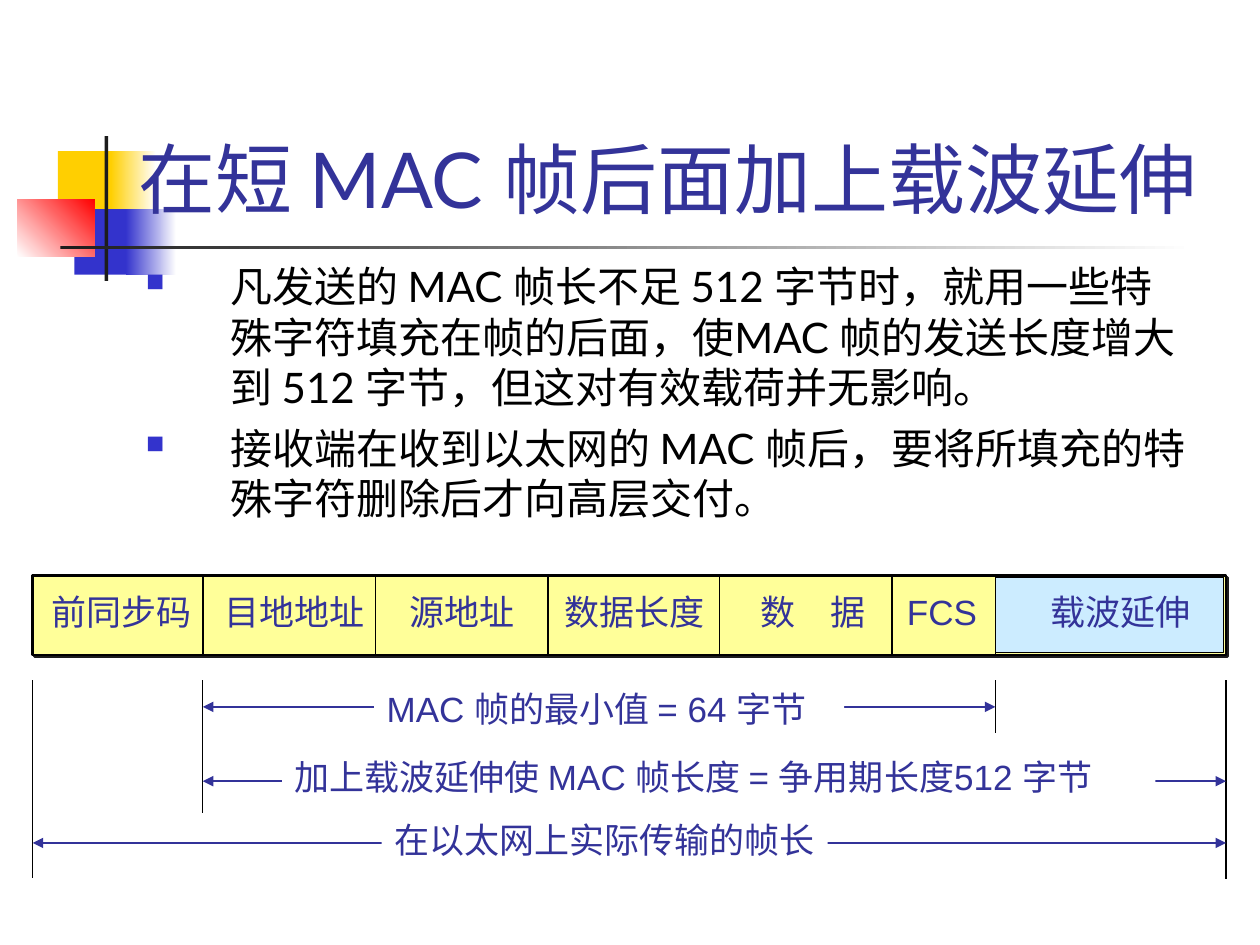
from lxml import etree
from pptx import Presentation
from pptx.dml.color import RGBColor
from pptx.enum.shapes import MSO_CONNECTOR, MSO_SHAPE
from pptx.enum.text import MSO_ANCHOR, MSO_AUTO_SIZE
from pptx.oxml import parse_xml
from pptx.oxml.ns import nsdecls, qn
from pptx.util import Inches, Pt

RECTANGLE = MSO_SHAPE.RECTANGLE
STRAIGHT = MSO_CONNECTOR.STRAIGHT
BOTTOM = MSO_ANCHOR.BOTTOM
FIT_SHAPE = MSO_AUTO_SIZE.SHAPE_TO_FIT_TEXT
COLORS = {
    "yellow": "FFCF01", "blue": "3333CC", "red": "FF0000", "white": "FFFFFF",
    "dark": "1C1C1C", "black": "000000", "indigo": "333399",
    "field": "FFFF99", "extension": "CCECFF",
}
RGB = {name: RGBColor.from_string(value) for name, value in COLORS.items()}

presentation = Presentation()
presentation.slide_width = Inches(10)
presentation.slide_height = Inches(7.5)
slide = presentation.slides.add_slide(presentation.slide_layouts[6])


def add_rectangle(left, top, width, height, fill, end=None, angle=0, line_width=None):
    shape = slide.shapes.add_shape(
        RECTANGLE, Inches(left), Inches(top), Inches(width), Inches(height))
    shape.shadow.inherit = False
    if end:
        shape.fill.gradient()
        shape.fill.gradient_angle = angle
        for stop, color in zip(shape.fill.gradient_stops, (fill, end)):
            stop.color.rgb = RGB[color]
    else:
        shape.fill.solid()
        shape.fill.fore_color.rgb = RGB[fill]
    if line_width:
        shape.line.color.rgb = RGB["black"]
        shape.line.width = Pt(line_width)
    else:
        shape.line.fill.background()
    return shape


def add_line(x1, y1, x2, y2, color="black", width=1.0, arrows=False):
    line = slide.shapes.add_connector(
        STRAIGHT, Inches(x1), Inches(y1), Inches(x2), Inches(y2))
    line.line.color.rgb = RGB[color]
    line.line.width = Pt(width)
    if arrows:
        outline = line.line._get_or_add_ln()
        for end in ("a:headEnd", "a:tailEnd"):
            etree.SubElement(outline, qn(end), type="triangle")
    etree.SubElement(line._element.spPr, qn("a:effectLst"))


# Corner decoration and title rule
for block in (
    (0.46, 1.2, 0.48, 0.52, "yellow"),
    (0.88, 1.2, 0.36, 0.52, "yellow", "white"),
    (0.59, 1.66, 0.46, 0.52, "blue"),
    (1, 1.66, 0.4, 0.52, "blue", "white"),
    (0.14, 1.58, 0.61, 0.46, "white", "red", 45),
    (0.83, 1.08, 0.03, 1.15, "dark"),
    (0.48, 1.95, 9, 0.03, "dark", "white"),
):
    add_rectangle(*block)

# Title
title = slide.shapes.add_textbox(Inches(1), Inches(0.23), Inches(8.88), Inches(1.6))
title.text_frame.word_wrap = True
title.text_frame.vertical_anchor = BOTTOM
title.text_frame.margin_right = Inches(0.15)
paragraph = title.text_frame.paragraphs[0]
paragraph.text = "在短 MAC 帧后面加上载波延伸"
paragraph.line_spacing = 1.08
paragraph.font.name = "Lato"
paragraph.font.size = Pt(44)
paragraph.font.color.rgb = RGB["indigo"]

# Bulleted explanation
body = slide.shapes.add_textbox(Inches(1.06), Inches(2.02), Inches(8.5), Inches(2.45))
body.text_frame.word_wrap = True
points = (
    "凡发送的 MAC 帧长不足 512 字节时，就用一些特殊字符填充在帧的后面，"
    "使MAC 帧的发送长度增大到 512 字节，但这对有效载荷并无影响。",
    "接收端在收到以太网的 MAC 帧后，要将所填充的特殊字符删除后才向高层交付。",
)
for index, point in enumerate(points):
    paragraph = body.text_frame.add_paragraph() if index else body.text_frame.paragraphs[0]
    paragraph.text = point
    paragraph.space_before = Pt(6)
    paragraph.font.name = "Lato"
    paragraph.font.size = Pt(24)
    paragraph.font.color.rgb = RGB["black"]
    properties = paragraph._p.get_or_add_pPr()
    properties.set("marL", str(Inches(0.67)))
    properties.set("indent", str(-Inches(0.67)))
    bullet_color = etree.Element(qn("a:buClr"))
    etree.SubElement(bullet_color, qn("a:srgbClr"), val=COLORS["blue"])
    bullet_size = etree.Element(qn("a:buSzPct"), val="60000")
    bullet = etree.Element(qn("a:buChar"), char="■")
    default_font = properties.find(qn("a:defRPr"))
    for element in (bullet_color, bullet_size, bullet):
        default_font.addprevious(element)

# Frame bar with its shadow, carrier extension and field dividers
frame_left, frame_right = 0.26, 9.73
address_left, extension_left = 1.61, 7.9
frame = add_rectangle(frame_left, 4.57, frame_right - frame_left, 0.63, "field", line_width=1.5)
frame_properties = frame._element.spPr
frame_properties.remove(frame_properties.find(qn("a:effectLst")))
frame_properties.append(parse_xml(
    f'<a:effectLst {nsdecls("a")}><a:outerShdw dist="{Pt(1.4)}" dir="2700000" algn="ctr">'
    f'<a:srgbClr val="{COLORS["dark"]}"/></a:outerShdw></a:effectLst>'))
add_rectangle(extension_left, 4.58, 1.81, 0.6, "extension", line_width=0.75)
for x in (address_left, 2.98, 4.35, 5.71, 7.08, extension_left):
    add_line(x, 4.57, x, 5.2)

# Boundary lines below the frame
for x, bottom in ((frame_left, 6.97), (address_left, 6.45),
                  (extension_left, 5.82), (frame_right, 6.98)):
    add_line(x, 5.4, x, bottom, width=0.75)

# Length arrows, broken by the white labels drawn over them
for left, right, y in ((address_left, extension_left, 5.61),
                       (address_left, frame_right, 6.2),
                       (frame_left, frame_right, 6.69)):
    add_line(left, y, right, y, "indigo", arrows=True)

# Field names and length labels
labels = (
    ("前同步码", 0.31, 4.64, 1.31, False),
    ("目地地址", 1.68, 4.64, 1.31, False),
    ("源地址", 3.15, 4.64, 1.1, False),
    ("数据长度", 4.38, 4.64, 1.31, False),
    ("数　据", 5.94, 4.64, 1.1, False),
    ("FCS", 7.1, 4.64, 0.76, False),
    ("载波延伸", 8.24, 4.64, 1.31, False),
    ("MAC 帧的最小值 = 64 字节", 2.97, 5.41, 3.73, True),
    ("加上载波延伸使 MAC 帧长度 = 争用期长度512 字节", 2.24, 5.95, 6.93, True),
    ("在以太网上实际传输的帧长", 3.03, 6.45, 3.54, True),
)
for text, left, top, width, masked in labels:
    label = slide.shapes.add_textbox(Inches(left), Inches(top), Inches(width), Inches(0.43))
    if masked:
        label.fill.solid()
        label.fill.fore_color.rgb = RGB["white"]
    label.text_frame.word_wrap = False
    label.text_frame.auto_size = FIT_SHAPE
    paragraph = label.text_frame.paragraphs[0]
    paragraph.text = text
    paragraph.font.name = "Arial"
    paragraph.font.size = Pt(20)
    paragraph.font.color.rgb = RGB["indigo"]

presentation.save("out.pptx")
